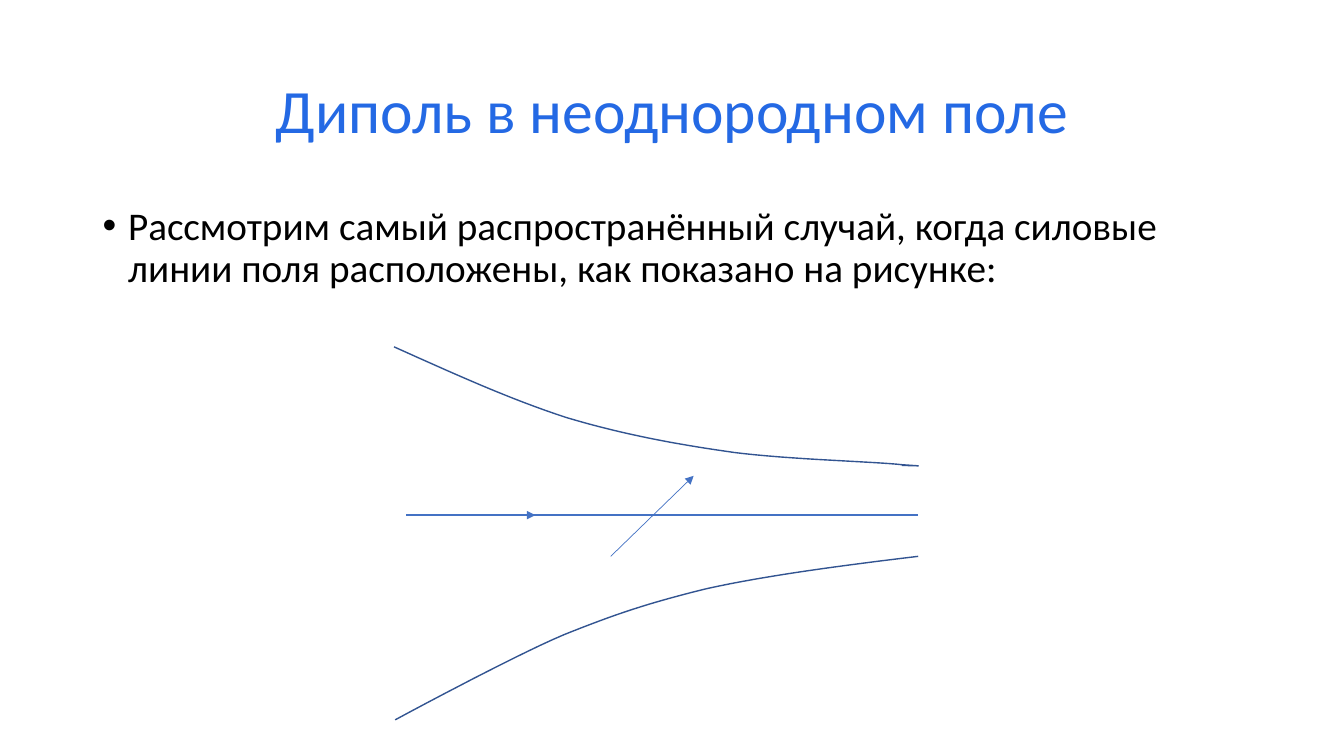
from dataclasses import dataclass

from lxml import etree
from pptx import Presentation
from pptx.dml.color import RGBColor
from pptx.enum.text import MSO_ANCHOR, PP_ALIGN
from pptx.enum.shapes import MSO_CONNECTOR
from pptx.oxml.ns import qn
from pptx.util import Cm, Pt

STRAIGHT = MSO_CONNECTOR.STRAIGHT
CENTER, LEFT = PP_ALIGN.CENTER, PP_ALIGN.LEFT
MIDDLE, TOP = MSO_ANCHOR.MIDDLE, MSO_ANCHOR.TOP

FONT = "Calibri"
TITLE_BLUE, BLACK = "2469E4", "000000"
CURVE_BLUE, LINE_BLUE = "325491", "4472C4"
BULLET_INDENT = Cm(0.64)
STEPS = 16

Point = tuple[float, float]


@dataclass
class FieldCurve:
    """A chain of cubic segments: a start, then three points per segment (cm)."""
    points: list[Point]


@dataclass
class StraightLine:
    start: Point
    end: Point
    width: float
    arrow: bool = False


AXIS_Y = 12.98
FIELD_CURVES = [
    FieldCurve([
        (9.93, 8.74),
        (11.4, 9.4), (12.85, 10.06), (14.27, 10.52),
        (15.7, 10.95), (17.07, 11.2), (18.49, 11.4),
        (19.89, 11.58), (22.02, 11.63), (22.73, 11.71),
        (23.44, 11.76), (23.09, 11.73), (22.73, 11.73),
    ]),
    FieldCurve([
        (23.14, 14.02),
        (21.23, 14.25), (19.33, 14.5), (17.83, 14.83),
        (16.36, 15.19), (15.52, 15.47), (14.2, 16),
        (12.88, 16.56), (9.96, 18.14), (9.96, 18.14),
    ]),
]
STRAIGHT_LINES = [
    StraightLine((23.14, AXIS_Y), (10.24, AXIS_Y), 1.25),
    StraightLine((10.92, AXIS_Y), (13.49, AXIS_Y), 0.5, arrow=True),
    StraightLine((15.39, 14.02), (17.48, 11.99), 0.5, arrow=True),
]


def color(value: str) -> RGBColor:
    return RGBColor.from_string(value)


def add_text(slide, text: str, *, left: float, top: float, width: float,
             height: float, size: float, fill: str, align=LEFT, anchor=TOP,
             bullet: bool = False) -> None:
    shape = slide.shapes.add_textbox(Cm(left), Cm(top), Cm(width), Cm(height))
    frame = shape.text_frame
    frame.word_wrap = True
    frame.vertical_anchor = anchor
    paragraph = frame.paragraphs[0]
    paragraph.text = text
    paragraph.alignment = align
    paragraph.line_spacing = 0.9
    if bullet:
        properties = paragraph._p.get_or_add_pPr()
        properties.set("marL", str(BULLET_INDENT))
        properties.set("indent", str(-BULLET_INDENT))
        etree.SubElement(properties, qn("a:buFont"), typeface="Arial")
        etree.SubElement(properties, qn("a:buChar"), char="•")
    font = paragraph.font
    font.name, font.size = FONT, Pt(size)
    font.color.rgb = color(fill)


def cubic_point(corners: list[Point], t: float) -> Point:
    weights = ((1 - t) ** 3, 3 * t * (1 - t) ** 2, 3 * t ** 2 * (1 - t), t ** 3)
    x, y = (sum(w * corner[axis] for w, corner in zip(weights, corners))
            for axis in (0, 1))
    return Cm(x), Cm(y)


def add_field_curve(slide, curve: FieldCurve) -> None:
    points = curve.points
    vertices = [cubic_point(points[first:first + 4], step / STEPS)
                for first in range(0, len(points) - 1, 3)
                for step in range(1, STEPS + 1)]
    x, y = points[0]
    builder = slide.shapes.build_freeform(Cm(x), Cm(y))
    builder.add_line_segments(vertices, close=False)
    shape = builder.convert_to_shape()
    shape.shadow.inherit = False
    shape.fill.background()
    shape.line.color.rgb = color(CURVE_BLUE)
    shape.line.width = Pt(1)


def add_straight_line(slide, line: StraightLine) -> None:
    ends = [Cm(value) for value in (*line.start, *line.end)]
    connector = slide.shapes.add_connector(STRAIGHT, *ends)
    connector.line.color.rgb = color(LINE_BLUE)
    connector.line.width = Pt(line.width)
    properties = connector._element.spPr
    if line.arrow:
        etree.SubElement(properties.find(qn("a:ln")), qn("a:tailEnd"), type="triangle")
    etree.SubElement(properties, qn("a:effectLst"))


def main() -> None:
    presentation = Presentation()
    presentation.slide_width, presentation.slide_height = Cm(33.87), Cm(19.05)
    slide = presentation.slides.add_slide(presentation.slide_layouts[6])

    # Title and introduction
    add_text(slide, "Диполь в неоднородном поле", left=2.34, top=1.02,
             width=29.21, height=3.68, size=44, fill=TITLE_BLUE,
             align=CENTER, anchor=MIDDLE)
    add_text(slide, "Рассмотрим самый распространённый случай, когда силовые "
             "линии поля расположены, как показано на рисунке:",
             left=2.34, top=5.08, width=29.21, height=12.09, size=28,
             fill=BLACK, bullet=True)

    # Field lines and the dipole arrow
    for curve in FIELD_CURVES:
        add_field_curve(slide, curve)
    for line in STRAIGHT_LINES:
        add_straight_line(slide, line)

    presentation.save("out.pptx")


if __name__ == "__main__":
    main()
